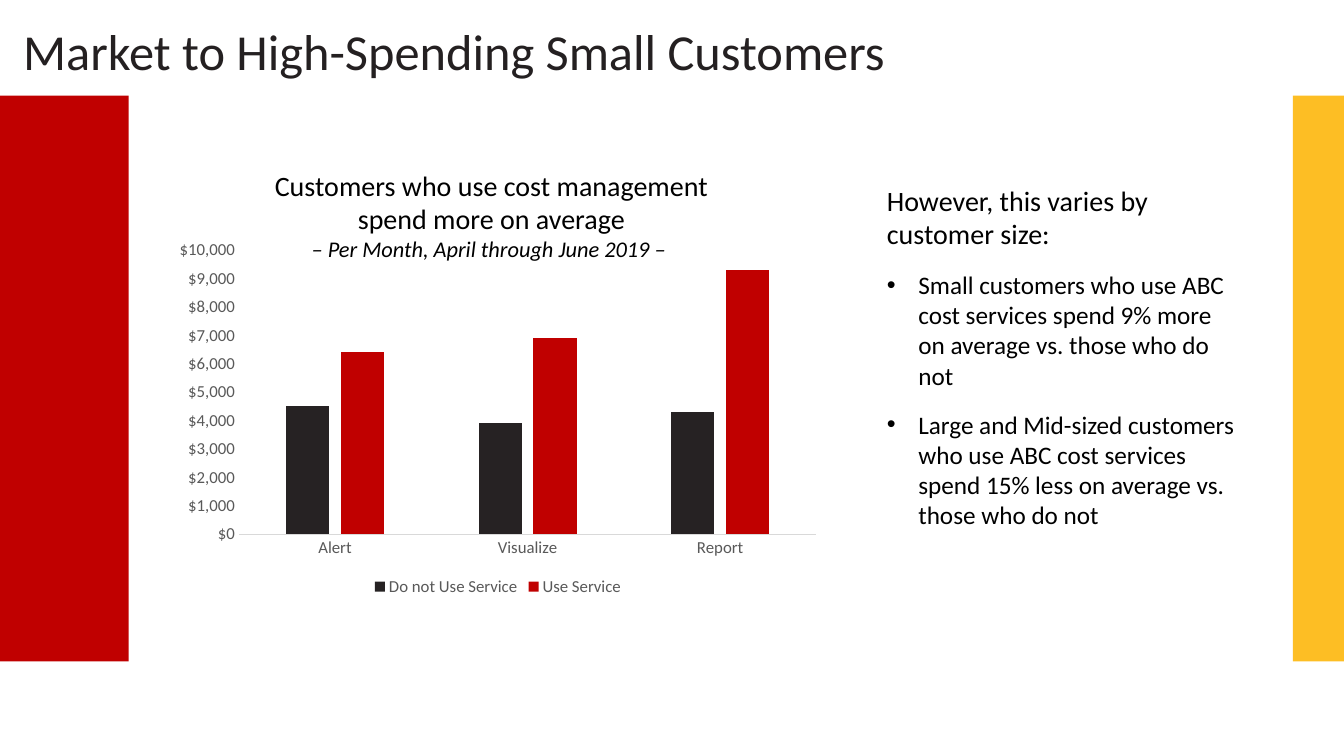
import pptx
import pptx.chart.data
import pptx.dml.color
import pptx.enum.chart
import pptx.enum.text
import pptx.util
from pptx.oxml.ns import qn

Pt = pptx.util.Pt
FONT = "Calibri"
RED, GOLD, DARK, BLACK, GREY = "C00000", "FDBE24", "242021", "000000", "595959"
BAND_TOP, BAND_HIGH = 68.4, 404


def tint(code):
    return pptx.dml.color.RGBColor.from_string(code)


def apply(item, **values):
    for name, value in values.items():
        setattr(item, name, value)


def style(font, size, code, **more):
    apply(font, name=FONT, size=Pt(size), **more)
    font.color.rgb = tint(code)


def paint(fill, code):
    fill.solid()
    fill.fore_color.rgb = tint(code)


def add_band(slide, left, width, code):
    band = slide.shapes.add_shape(
        pptx.enum.shapes.MSO_SHAPE.RECTANGLE,
        Pt(left), Pt(BAND_TOP), Pt(width), Pt(BAND_HIGH))
    band.shadow.inherit = False
    paint(band.fill, code)
    band.line.fill.background()


def add_bullet(para, indent):
    props = para._p.get_or_add_pPr()
    props.set("marL", str(Pt(indent)))
    props.set("indent", str(-Pt(indent)))
    for tag, key, value in (("a:buFont", "typeface", "Arial"),
                            ("a:buChar", "char", "•")):
        props.makeelement(qn(tag))
        mark = pptx.oxml.xmlchemy.OxmlElement(tag)
        mark.set(key, value)
        props.append(mark)


def add_text(slide, box, lines):
    """Each line is (text, size, colour, paragraph values, font values, bullet)."""
    frame = slide.shapes.add_textbox(*map(Pt, box)).text_frame
    frame.word_wrap = True
    for count, (text, size, code, layout, face, bullet) in enumerate(lines):
        para = frame.add_paragraph() if count else frame.paragraphs[0]
        apply(para, **layout)
        if bullet:
            add_bullet(para, 22.5)
        run = para.add_run()
        run.text = text
        style(run.font, size, code, **face)


def add_columns(slide, box, groups, series):
    """Each series is (name, values, colour)."""
    data = pptx.chart.data.CategoryChartData(number_format='"$"#,##0')
    data.categories = groups
    for name, values, _ in series:
        data.add_series(name, values)
    chart = slide.shapes.add_chart(
        pptx.enum.chart.XL_CHART_TYPE.COLUMN_CLUSTERED,
        *map(Pt, box), data).chart
    apply(chart, has_title=False, has_legend=True)
    style(chart.font, 10, BLACK)
    apply(chart.legend, include_in_layout=False,
          position=pptx.enum.chart.XL_LEGEND_POSITION.BOTTOM)
    style(chart.legend.font, 12, GREY)

    plot = chart.plots[0]
    apply(plot, gap_width=219, overlap=-27, vary_by_categories=False)
    for bars, (_, _, code) in zip(plot.series, series):
        paint(bars.format.fill, code)
        bars.invert_if_negative = False

    none = pptx.enum.chart.XL_TICK_MARK.NONE
    for axis in (chart.category_axis, chart.value_axis):
        apply(axis, has_major_gridlines=False,
              major_tick_mark=none, minor_tick_mark=none)
        style(axis.tick_labels.font, 12, GREY)
    base = chart.category_axis.format.line
    base.color.rgb = tint("D9D9D9")
    base.width = Pt(0.75)
    scale = chart.value_axis
    apply(scale, minimum_scale=0, maximum_scale=10000, major_unit=1000)
    apply(scale.tick_labels, number_format='"$"#,##0',
          number_format_is_linked=False)
    scale.format.line.fill.background()


def main():
    deck = pptx.Presentation()
    apply(deck, slide_width=Pt(960), slide_height=Pt(540))
    slide = deck.slides.add_slide(deck.slide_layouts[6])
    middle = {"alignment": pptx.enum.text.PP_ALIGN.CENTER}
    gap = {"space_before": Pt(13.4)}

    add_band(slide, 0, 92, RED)
    add_text(slide, (9.4, 10.8, 950.6, 51), [
        ("Market to High-Spending Small Customers", 36, DARK, {}, {}, False)])
    add_band(slide, 923.5, 36.5, GOLD)
    add_text(slide, (626.4, 127.4, 263.5, 257), [
        ("However, this varies by customer size:", 20, BLACK, {}, {}, False),
        ("Small customers who use ABC cost services spend 9% more on average "
         "vs. those who do not", 18, BLACK, gap, {}, True),
        ("Large and Mid-sized customers who use ABC cost services spend 15% "
         "less on average vs. those who do not", 18, BLACK, gap, {}, True)])
    add_columns(slide, (118.8, 166.3, 473.8, 262.8),
                ["Alert", "Visualize", "Report"],
                [("Do not Use Service", (4500, 3900, 4300), "262223"),
                 ("Use Service", (6400, 6900, 9300), RED)])
    add_text(slide, (175, 116.6, 352, 75), [
        ("Customers who use cost management spend more on average",
         20, BLACK, middle, {}, False),
        ("– Per Month, April through June 2019 – ",
         16, BLACK, middle, {"italic": True}, False)])
    deck.save("out.pptx")


if __name__ == "__main__":
    main()
